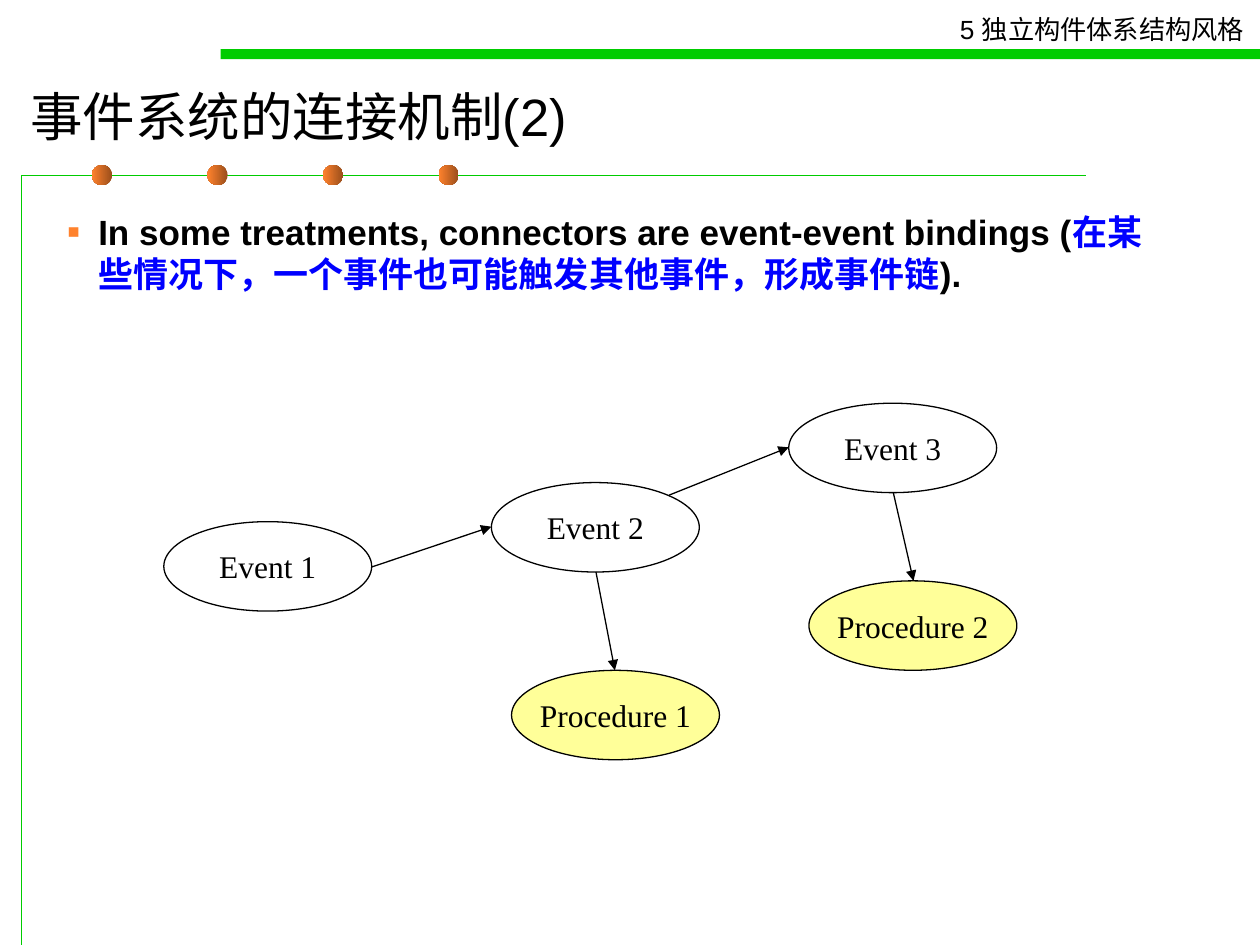
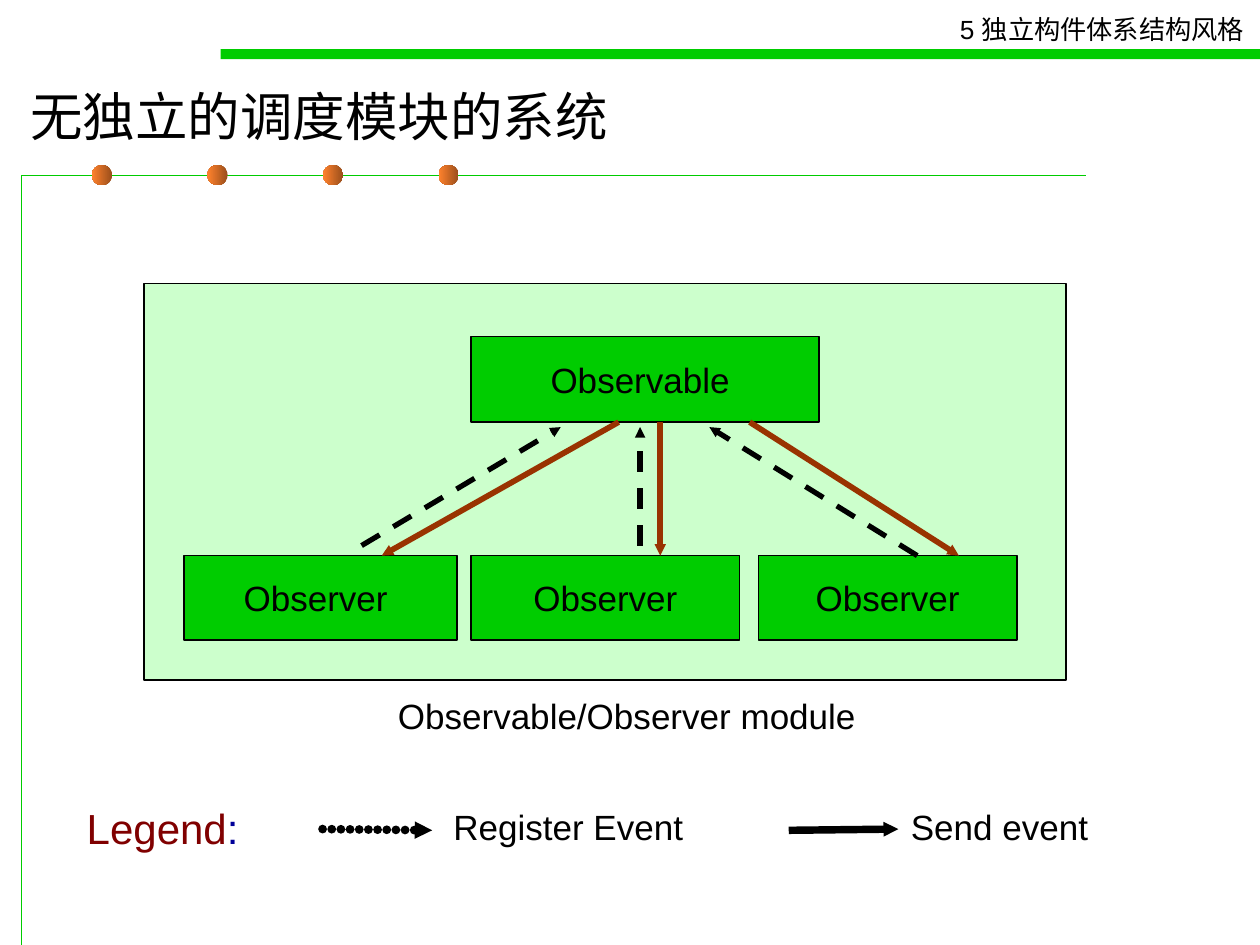
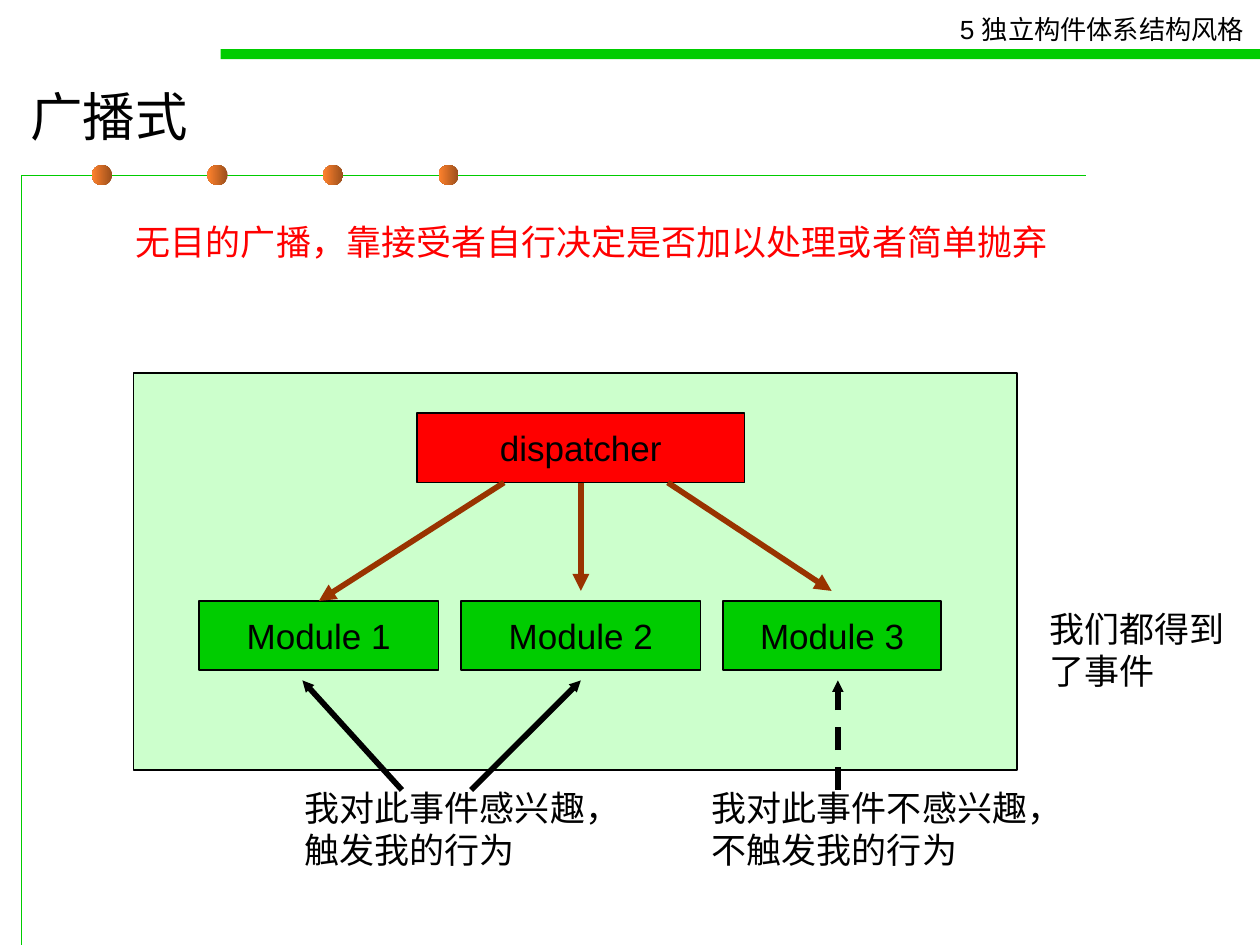
from lxml import etree
from pptx import Presentation
from pptx.dml.color import RGBColor
from pptx.enum.dml import MSO_LINE
from pptx.enum.shapes import MSO_CONNECTOR, MSO_SHAPE
from pptx.enum.text import MSO_ANCHOR, MSO_AUTO_SIZE, PP_ALIGN
from pptx.oxml.ns import qn
from pptx.util import Inches, Pt

RECT, OVAL = MSO_SHAPE.RECTANGLE, MSO_SHAPE.OVAL
STRAIGHT = MSO_CONNECTOR.STRAIGHT
DASH = MSO_LINE.DASH
MIDDLE, TOP = MSO_ANCHOR.MIDDLE, MSO_ANCHOR.TOP
CENTER, LEFT = PP_ALIGN.CENTER, PP_ALIGN.LEFT
FIXED = MSO_AUTO_SIZE.NONE

BLACK = RGBColor(0, 0, 0)
WHITE = RGBColor(255, 255, 255)
GREEN = RGBColor(0, 0xCC, 0)
MINT = RGBColor(0xCC, 0xFF, 0xCC)
YELLOW = RGBColor(0xFF, 0xFF, 0x99)
RED = RGBColor(0xFF, 0, 0)
BLUE = RGBColor(0, 0, 0xFF)
NAVY = RGBColor(0, 0, 0x99)
MAROON = RGBColor(0x80, 0, 0)
RUST = RGBColor(0x99, 0x33, 0)
ORANGE = RGBColor(0xFF, 0x82, 0x2D)
BROWN = RGBColor(0x9A, 0x4E, 0x1B)

SANS, SERIF, HAN, CABIN = "Arial", "Times New Roman", "Noto Sans CJK SC", "Cabin"
TITLE_BOX = (0.14, 0.56, 9.29, 0.71)
BODY_BOX = (0.43, 1.62, 8.98, 5.59)


def put(item, **vals):
    for name, val in vals.items():
        setattr(item, name, val)


def node(parent, tag, **vals):
    return etree.SubElement(parent, qn(tag), vals)


def inch(*vals):
    return [Inches(val) for val in vals]


def shift(box, x, y, *size):
    return (box[0] + x, box[1] + y, *size)


def move(shape, box):
    put(shape, **dict(zip(("left", "top", "width", "height"), inch(*box))))


def write(frame, parts, size=20, font=SANS, bold=False, align=LEFT,
          anchor=TOP, wrap=False, side=0.1):
    put(frame, word_wrap=wrap, auto_size=FIXED, vertical_anchor=anchor,
        margin_left=Inches(side), margin_right=Inches(side),
        margin_top=Inches(0.05), margin_bottom=Inches(0.05))
    para = frame.paragraphs[0]
    para.alignment = align
    for text, color in parts:
        run = para.add_run()
        run.text = text
        put(run.font, size=Pt(size), name=font, bold=bold)
        run.font.color.rgb = color
        run.font.fill.fore_color.rgb = color
        node(run.font._element, "a:ea", typeface=HAN)
    return para


def label(slide, box, text, color=BLACK, **style):
    area = slide.shapes.add_textbox(*inch(*box))
    write(area.text_frame, [(text, color)], **style)


def block(slide, kind, box, fill, text="", edge=1, **style):
    shape = slide.shapes.add_shape(kind, *inch(*box))
    shape.shadow.inherit = False
    shape.fill.solid()
    shape.fill.fore_color.rgb = fill
    if edge:
        shape.line.color.rgb = BLACK
        shape.line.width = Pt(edge)
    else:
        shape.line.fill.background()
    if text:
        write(shape.text_frame, [(text, BLACK)], align=CENTER, anchor=MIDDLE, **style)
    return shape


def arrow(slide, box, ends, color=BLACK, width=3.25, dash=None, head="sm", dots=False):
    x1, y1, x2, y2 = ends
    link = slide.shapes.add_connector(
        STRAIGHT, *inch(*shift(box, x1, y1), *shift(box, x2, y2)))
    link.line.color.rgb = color
    link.line.width = Pt(width)
    if dash:
        link.line.dash_style = dash
    line = link.line._get_or_add_ln()
    if dots:
        line.set("cap", "rnd")
        node(node(line, "a:custDash"), "a:ds", d="100000", sp="5000")
    node(line, "a:tailEnd", type="triangle", w=head, len=head)
    node(link._element.spPr, "a:effectLst")


def frame(slide):
    pen = slide.shapes.build_freeform(*inch(0.17, 7.5))
    pen.add_line_segments([inch(0.17, 1.39), inch(8.62, 1.39)], close=False)
    rule = pen.convert_to_shape()
    rule.shadow.inherit = False
    rule.fill.background()
    rule.line.color.rgb = GREEN
    rule.line.width = Pt(0.75)
    for i in range(4):
        dot = block(slide, OVAL, (0.73 + 0.917 * i, 1.31, 0.16, 0.16), BROWN, edge=0)
        dot.fill.gradient()
        dot.fill.gradient_angle = 180
        for stop, color in zip(dot.fill.gradient_stops, (BROWN, ORANGE)):
            stop.color.rgb = color
    block(slide, RECT, (1.75, 0.39, 8.25, 0.08), GREEN, edge=0)
    label(slide, (7.52, 0.06, 2.5, 0.35), "5 独立构件体系结构风格", size=15)


def dress(deck):
    slide = deck.slides[0]
    own = {shape.shape_id for shape in slide.shapes}
    frame(slide)
    for shape in list(slide.shapes):
        if shape.shape_id not in own:
            deck.slide_master.shapes.element.append(shape.element)


def start(deck, layout, title):
    slide = deck.slides.add_slide(deck.slide_layouts[layout])
    move(slide.shapes.title, TITLE_BOX)
    write(slide.shapes.title.text_frame, [(title, BLACK)], size=30, anchor=MIDDLE, wrap=True)
    return slide


def bullet(slide, box, parts):
    body = slide.placeholders[1]
    move(body, box)
    para = write(body.text_frame, parts, bold=True, wrap=True)
    props = para._p.get_or_add_pPr()
    put_indent = {"marL": Inches(0.25), "indent": Inches(-0.25)}
    for name, val in put_indent.items():
        props.set(name, str(int(val)))
    node(node(props, "a:buClr"), "a:srgbClr", val=str(ORANGE))
    node(props, "a:buSzPct", val="110000")
    node(props, "a:buFont", typeface=SANS)
    node(props, "a:buChar", char="▪")
    put(para, space_before=Pt(0), space_after=Pt(3.7))


def chain(slide, box):
    for text, x, y, fill in (
            ("Event 1", 0, 0.94, WHITE), ("Event 2", 2.6, 0.63, WHITE),
            ("Event 3", 4.96, 0, WHITE), ("Procedure 2", 5.12, 1.41, YELLOW),
            ("Procedure 1", 2.76, 2.12, YELLOW)):
        block(slide, OVAL, shift(box, x, y, 1.65, 0.71), fill, text,
              edge=0.75, size=18, font=SERIF)
    for ends in ((1.65, 1.3, 2.6, 0.98), (4.01, 0.73, 4.96, 0.35),
                 (5.79, 0.71, 5.95, 1.41), (3.43, 1.34, 3.58, 2.12)):
        arrow(slide, box, ends, width=0.75, head="med")


def row(slide, box, items, step, high, **style):
    for i, (text, wide) in enumerate(items):
        block(slide, RECT, shift(box, step * i, 0, wide, high), GREEN, text, **style)


def watch(slide, box):
    block(slide, RECT, box, MINT)
    block(slide, RECT, shift(box, 2.6, 0.42, 2.76, 0.68), GREEN, "Observable ", side=0)
    row(slide, shift(box, 0.32, 2.16),
        (("Observer ", 2.17), ("Observer", 2.13), ("Observer", 2.05)), 2.28, 0.67, side=0)
    for x1, x2 in ((3.77, 1.89), (4.1, 4.1), (4.81, 6.47)):
        arrow(slide, box, (x1, 1.1, x2, 2.16), RUST)
    for x1, y1, x2 in ((1.73, 2.08, 3.31), (6.14, 2.16, 4.49), (3.94, 2.08, 3.94)):
        arrow(slide, box, (x1, y1, x2, 1.14), width=3, dash=DASH)
    label(slide, shift(box, 1.92, 3.21, 3.83, 0.44), "Observable/Observer module")


def legend(slide, box):
    area = slide.shapes.add_textbox(*inch(*shift(box, 0, 0, 1.5, 0.5)))
    write(area.text_frame, [("Legend", MAROON), (":", NAVY)], size=24, wrap=True)
    arrow(slide, box, (1.97, 0.26, 2.84, 0.27), width=5, dots=True)
    label(slide, shift(box, 2.91, 0.02, 2.36, 0.44), "Register Event", wrap=True)
    arrow(slide, box, (5.67, 0.27, 6.54, 0.26), width=4.25)
    label(slide, shift(box, 6.54, 0.02, 1.81, 0.44), "Send event", wrap=True)


def cast(slide, box):
    block(slide, RECT, box, MINT)
    block(slide, RECT, shift(box, 2.25, 0.32, 2.6, 0.55), RED, "dispatcher")
    row(slide, shift(box, 0.52, 1.81),
        (("Module 1", 1.9), ("Module 2", 1.9), ("Module 3", 1.73)), 2.08, 0.55)
    for x1, x2, y2 in ((2.94, 1.47, 1.81), (3.55, 3.55, 1.73), (4.24, 5.54, 1.73)):
        arrow(slide, box, (x1, 0.87, x2, y2), RUST, head="med")
    for x1, x2, dash in ((2.13, 1.34, None), (2.68, 3.55, None), (5.59, 5.59, DASH)):
        arrow(slide, box, (x1, 3.31, x2, 2.44), dash=dash)
    for text, x, y, wide, font in (
            ("我对此事件感兴趣，触发我的行为", 1.26, 3.23, 2.44, HAN),
            ("我对此事件不感兴趣，不触发我的行为", 4.49, 3.23, 2.91, HAN),
            ("我们都得到了事件", 7.17, 1.81, 1.77, SANS)):
        label(slide, shift(box, x, y, wide, 0.77), text, font=font, wrap=True)


def main():
    deck = Presentation()
    put(deck, slide_width=Inches(10), slide_height=Inches(7.5))

    slide = start(deck, 1, "事件系统的连接机制(2)")
    dress(deck)
    bullet(slide, BODY_BOX, [
        ("In some treatments, connectors are event-event bindings (", BLACK),
        ("在某些情况下，一个事件也可能触发其他事件，形成事件链", BLUE),
        (").", BLACK)])
    chain(slide, (1.3, 3.2))

    slide = start(deck, 5, "无独立的调度模块的系统")
    watch(slide, (1.14, 2.25, 7.32, 3.15))
    legend(slide, (0.59, 6.32))

    slide = start(deck, 5, "广播式")
    label(slide, (0.98, 1.7, 7.43, 0.44),
          "无目的广播，靠接受者自行决定是否加以处理或者简单抛弃", RED, font=CABIN)
    cast(slide, (1.06, 2.96, 7.01, 3.15))

    deck.save("out.pptx")


if __name__ == "__main__":
    main()
